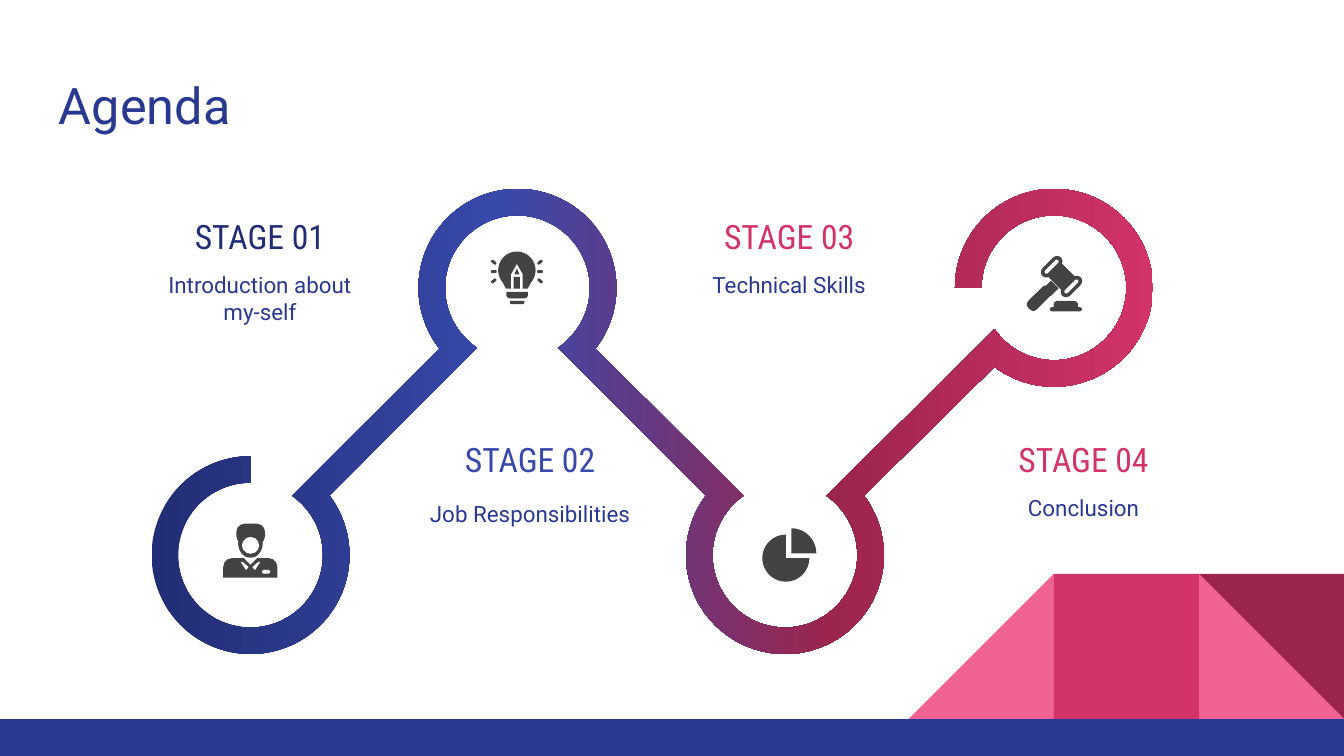
from dataclasses import dataclass
from math import cos, radians, sin

from lxml import etree
from pptx import Presentation
from pptx.dml.color import RGBColor
from pptx.enum.shapes import MSO_SHAPE
from pptx.enum.text import MSO_ANCHOR, PP_ALIGN
from pptx.oxml.ns import qn
from pptx.util import Pt

RECT = MSO_SHAPE.RECTANGLE
PILL = MSO_SHAPE.ROUNDED_RECTANGLE
DOME = MSO_SHAPE.ROUND_2_SAME_RECTANGLE
DISC = MSO_SHAPE.OVAL
PIE = MSO_SHAPE.PIE
WEDGE = MSO_SHAPE.RIGHT_TRIANGLE
TIP = MSO_SHAPE.ISOSCELES_TRIANGLE
TOP, MIDDLE = MSO_ANCHOR.TOP, MSO_ANCHOR.MIDDLE
LEFT, CENTER = PP_ALIGN.LEFT, PP_ALIGN.CENTER

WHITE = RGBColor(0xFF, 0xFF, 0xFF)
CHARCOAL = RGBColor(0x43, 0x43, 0x43)
NAVY = RGBColor(0x21, 0x2D, 0x74)
INDIGO = RGBColor(0x2A, 0x39, 0x90)
BLUE = RGBColor(0x39, 0x49, 0xAB)
WINE = RGBColor(0x9C, 0x25, 0x4D)
CRIMSON = RGBColor(0xD2, 0x33, 0x69)
PINK = RGBColor(0xF0, 0x62, 0x92)

BODY_FONT, STAGE_FONT = "Roboto", "Roboto Condensed"
OUTER, INNER, HUB = 53, 38.8, 30
BLOCK = 77.8

Point = tuple[float, float]


@dataclass(frozen=True)
class Part:
    kind: int
    x: float
    y: float
    width: float
    height: float
    color: RGBColor = CHARCOAL
    turn: float = 0
    rounding: float | None = None


@dataclass(frozen=True)
class Stage:
    title: str
    lines: tuple[str, ...]
    color: RGBColor
    left: float
    top: float
    center: Point
    spacing: float = 1.0


STAGES = (
    Stage("STAGE 01", ("Introduction about", "my-self"), NAVY, 71.3, 113.2, (134.2, 297.4)),
    Stage("STAGE 02", ("Job Responsibilities",), BLUE, 216, 232.7, (277.2, 154.2), 1.2),
    Stage("STAGE 03", ("Technical Skills",), CRIMSON, 354.8, 113.2, (420.5, 297.4)),
    Stage("STAGE 04", ("Conclusion",), CRIMSON, 512.5, 232.7, (564.6, 154.2)),
)

SCENERY = (
    Part(WEDGE, 642.4, 307.4, BLOCK, BLOCK, PINK),
    Part(WEDGE, 486.8, 307.4, BLOCK, BLOCK, PINK, 270),
    Part(RECT, 564.6, 307.4, BLOCK, BLOCK, CRIMSON),
    Part(WEDGE, 642.4, 307.4, BLOCK, BLOCK, WINE, 180),
    Part(RECT, 0, 385.2, 720, 19.8, INDIGO),
)

PERSON = (
    Part(PILL, 126.6, 280.6, 15.4, 11, rounding=0.4),
    Part(DISC, 127.6, 283, 13.2, 15.9),
    Part(DISC, 129.6, 287.7, 9.2, 9, WHITE),
    Part(DOME, 119.6, 299, 29, 10.4, rounding=0.45),
    Part(TIP, 130.5, 298.7, 7.4, 3.8, WHITE, 180),
    Part(PILL, 140.4, 305.3, 4.4, 2, WHITE, rounding=0.5),
)
COLLAR = ((129, 301), (130, 301), (133.2, 303.8), (131.8, 305.4))

BULB_BASE = (
    Part(RECT, 275.2, 148.4, 3.4, 6.2),
    Part(TIP, 275.5, 143.8, 2.8, 3.2),
    Part(DOME, 271.2, 156.4, 11.6, 3.4, turn=180, rounding=0.5),
    Part(DOME, 273.1, 161.2, 7.8, 1.7, turn=180, rounding=0.5),
)
PENCIL = ((273.8, 154.8), (273.8, 147), (276.9, 141.6), (280, 147), (280, 154.8))
RAYS = tuple(
    Part(PILL, 276.9 + side * 12.4 - 1.6, 145.5 + step * 5 - 0.8, 3.2, 1.6,
         turn=side * step * 40, rounding=0.5)
    for side in (-1, 1)
    for step in (-1, 0, 1)
)

CHART = (Part(PIE, 408.4, 286.4, 25.2, 25.2),)

GAVEL = (
    Part(RECT, 563.7, 143.3, 10.2, 10.2, turn=45),
    Part(PILL, 556.4, 140, 14, 5.8, turn=-45, rounding=0.5),
    Part(PILL, 567, 150.6, 14, 5.8, turn=-45, rounding=0.5),
    Part(PILL, 558.5, 141.9, 9.8, 2, WHITE, -45, 0.5),
    Part(PILL, 569.1, 152.5, 9.8, 2, WHITE, -45, 0.5),
    Part(PILL, 549, 156.5, 16, 6.4, turn=-45, rounding=0.4),
    Part(RECT, 560, 151.6, 6, 5.8, turn=-45),
    Part(DOME, 564.4, 161.2, 13.2, 4.4, rounding=0.5),
    Part(PILL, 562.4, 164.6, 17.2, 2.2, rounding=0.5),
)


def arc(center: Point, radius: float, start: float, end: float) -> list[Point]:
    steps = max(1, round(abs(end - start) / 3))
    angles = [radians(start + (end - start) * i / steps) for i in range(steps + 1)]
    return [(center[0] + radius * cos(a), center[1] + radius * sin(a)) for a in angles]


def draw_part(shapes, part: Part) -> None:
    shape = shapes.add_shape(part.kind, Pt(part.x), Pt(part.y), Pt(part.width), Pt(part.height))
    shape.shadow.inherit = False
    shape.fill.solid()
    shape.fill.fore_color.rgb = part.color
    shape.line.fill.background()
    shape.rotation = part.turn
    if part.rounding is not None:
        shape.adjustments[0] = part.rounding


def draw_outline(shapes, points: list[Point], color: RGBColor):
    corners = [(Pt(x), Pt(y)) for x, y in points]
    builder = shapes.build_freeform(*corners[0])
    builder.add_line_segments(corners[1:], close=True)
    shape = builder.convert_to_shape()
    shape.shadow.inherit = False
    shape.fill.solid()
    shape.fill.fore_color.rgb = color
    shape.line.fill.background()
    return shape


def draw_track(shapes) -> None:
    first, second, third, fourth = (stage.center for stage in STAGES)
    edge = (
        arc(fourth, INNER, 180, 505) + arc(third, INNER, -55, 235)
        + arc(second, OUTER, 38, -218) + arc(first, INNER, -55, 270)
        + arc(first, OUTER, 270, -37) + arc(second, INNER, 124, 416)
        + arc(third, OUTER, 217, -37) + arc(fourth, OUTER, 127, -180)
    )
    track = draw_outline(shapes, edge, BLUE)
    track.fill.gradient()
    track.fill.gradient_angle = 0
    stops = track.fill._fill._gradFill.find(qn("a:gsLst"))
    for stop in list(stops):
        stops.remove(stop)
    for position, color in ((0, NAVY), (35, BLUE), (68, WINE), (100, CRIMSON)):
        stop = etree.SubElement(stops, qn("a:gs"), pos=str(position * 1000))
        etree.SubElement(stop, qn("a:srgbClr"), val=str(color))


def write(shapes, lines: tuple[str, ...], box: tuple[float, float, float, float], size: float,
          font: str, color: RGBColor, align=CENTER, anchor=TOP, spacing: float = 1.0) -> None:
    frame = shapes.add_textbox(*(Pt(length) for length in box)).text_frame
    frame.word_wrap = True
    frame.vertical_anchor = anchor
    frame.margin_left = frame.margin_right = frame.margin_top = frame.margin_bottom = Pt(7.2)
    for index, line in enumerate(lines):
        paragraph = frame.add_paragraph() if index else frame.paragraphs[0]
        paragraph.alignment = align
        paragraph.line_spacing = spacing
        run = paragraph.add_run()
        run.text = line
        run.font.size = Pt(size)
        run.font.name = font
        run.font.color.rgb = color


def draw_icons(shapes) -> None:
    for part in PERSON:
        draw_part(shapes, part)
    draw_outline(shapes, list(COLLAR), WHITE)
    draw_outline(shapes, [(2 * STAGES[0].center[0] - x, y) for x, y in COLLAR], WHITE)
    bulb = arc((276.9, 144.8), 10, 140, 400) + [(282.7, 154.7), (271.1, 154.7)]
    draw_outline(shapes, bulb, CHARCOAL)
    draw_outline(shapes, list(PENCIL), WHITE)
    for part in BULB_BASE + RAYS + CHART + GAVEL:
        draw_part(shapes, part)
    draw_outline(shapes, [(423.9, 296.4)] + arc((423.9, 296.4), 13.4, -90, 0), CHARCOAL)


def main() -> None:
    deck = Presentation()
    deck.slide_width, deck.slide_height = Pt(720), Pt(405)
    shapes = deck.slides.add_slide(deck.slide_layouts[6]).shapes
    for part in SCENERY:
        draw_part(shapes, part)
    draw_track(shapes)
    for stage in STAGES:
        x, y = stage.center
        draw_part(shapes, Part(DISC, x - HUB, y - HUB, 2 * HUB, 2 * HUB, WHITE))
        write(shapes, stage.lines, (stage.left, stage.top + 25, 136, 31 if len(stage.lines) == 1 else 40),
              12, BODY_FONT, INDIGO, spacing=stage.spacing)
        write(shapes, (stage.title,), (stage.left, stage.top, 136, 26.6),
              18, STAGE_FONT, stage.color, anchor=MIDDLE)
    draw_icons(shapes)
    write(shapes, ("Agenda",), (24.5, 32.4, 671, 47.5), 27, BODY_FONT, INDIGO, align=LEFT)
    deck.save("out.pptx")


if __name__ == "__main__":
    main()
